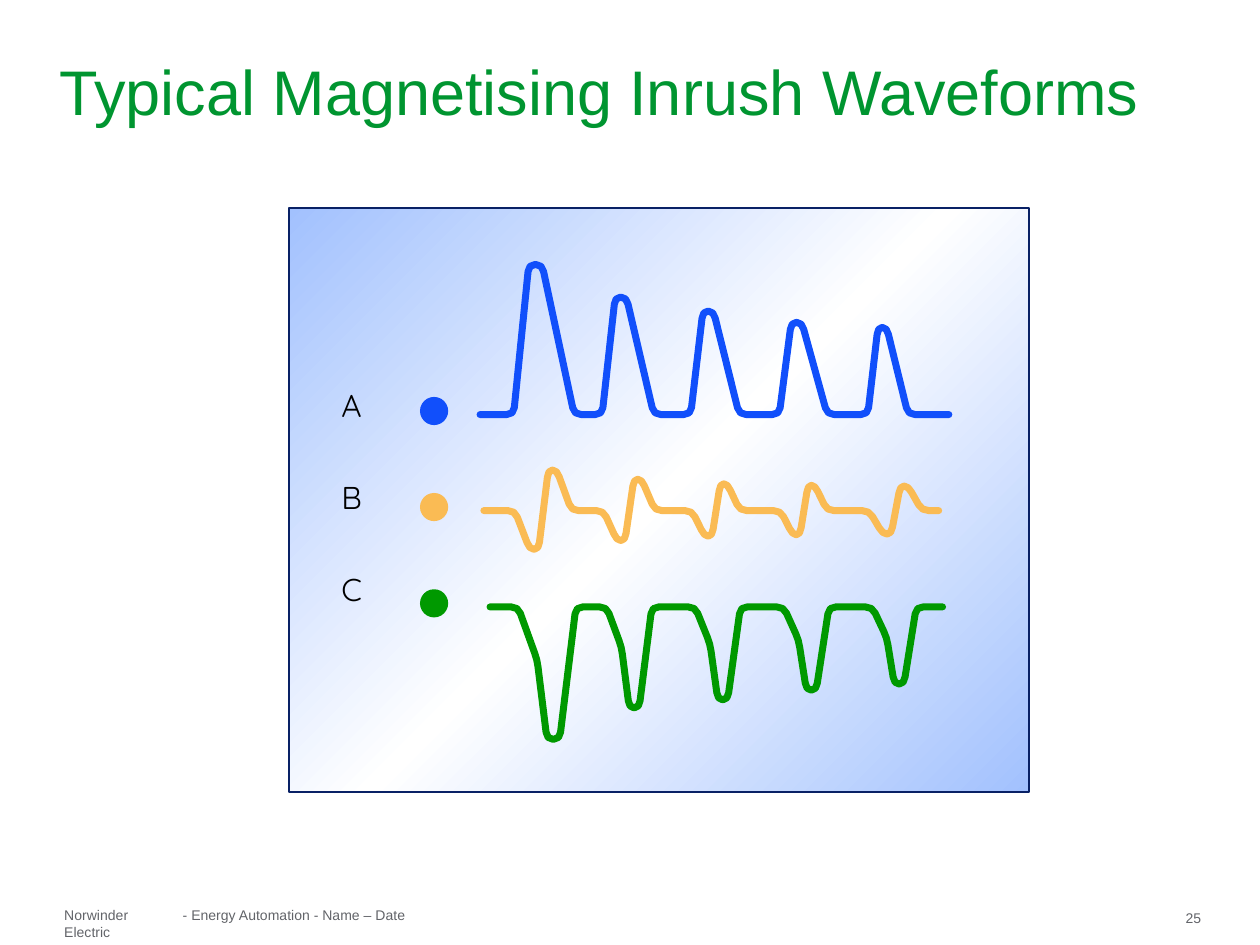
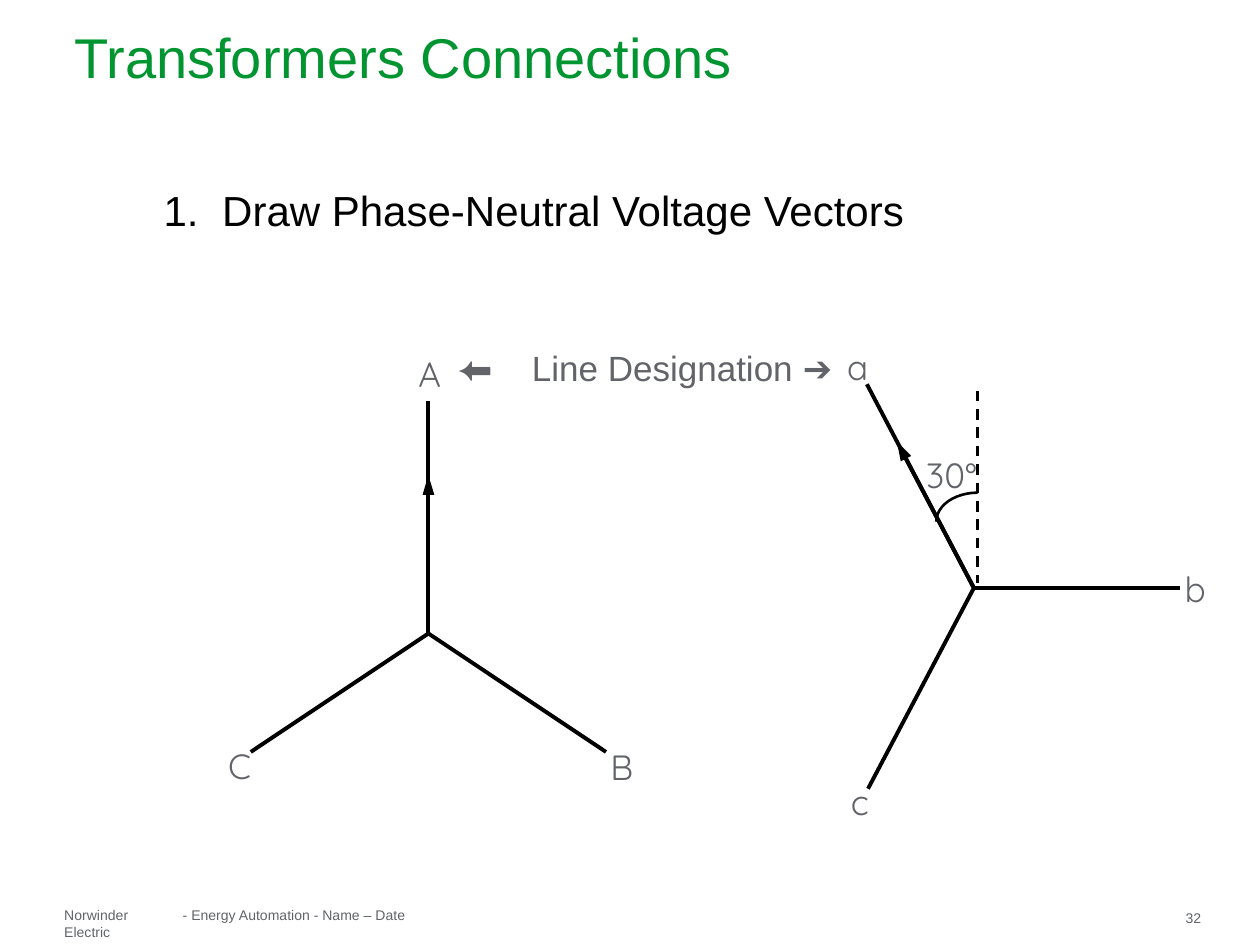
"""Two slides on transformer inrush waveforms and phase-neutral voltage vectors."""
from copy import deepcopy
from math import cos, dist, radians, sin

from pptx import Presentation
from pptx.dml.color import RGBColor
from pptx.enum.dml import MSO_LINE
from pptx.enum.shapes import MSO_CONNECTOR as CONN, MSO_SHAPE as SHAPE
from pptx.enum.text import MSO_ANCHOR as ANCHOR
from pptx.oxml.ns import qn
from pptx.oxml.xmlchemy import OxmlElement
from pptx.util import Pt

GREEN, GREY, BLACK = "009530", "626469", "000000"
BLUE, AMBER, LEAF = "114FFB", "FABB54", "009900"
NAVY, SKY, WHITE = "092165", "A2C1FE", "FFFFFF"
SANS, ROUND = "Arial", "Quicksand"
TIGHT, ROOMY = (0.72, 0.72), (7.2, 3.6)
rgb = RGBColor.from_string


def text(s, words, box, size, color=GREY, font=SANS, inset=(0, 0), anchor=ANCHOR.TOP, hang=0):
    tf = s.shapes.add_textbox(*map(Pt, box)).text_frame
    dx, dy = map(Pt, inset)
    frame = {"word_wrap": True, "vertical_anchor": anchor, "margin_left": dx,
             "margin_right": dx, "margin_top": dy, "margin_bottom": dy}
    for name, value in frame.items():
        setattr(tf, name, value)
    p = tf.paragraphs[0]
    if hang:
        pPr = p._p.get_or_add_pPr()
        pPr.set("marL", str(Pt(hang)))
        pPr.set("indent", str(-Pt(hang)))
    r = p.add_run()
    r.text = words
    for name, value in {"size": Pt(size), "name": font}.items():
        setattr(r.font, name, value)
    r.font.color.rgb = rgb(color)


def line(s, start, end, width=2.25, dash=None, arrow=False):
    cn = s.shapes.add_connector(CONN.STRAIGHT, *map(Pt, start + end))
    cn.line.color.rgb = rgb(BLACK)
    cn.line.width = Pt(width)
    if dash:
        cn.line.dash_style = dash
    if arrow:
        head = OxmlElement("a:headEnd")
        head.set("type", "triangle")
        head.set("len", "lg")
        cn.line._get_or_add_ln().append(head)
    cn._element.spPr.append(OxmlElement("a:effectLst"))


prs = Presentation()
prs.slide_width, prs.slide_height = Pt(720), Pt(540)

titles = [
    ("Typical Magnetising Inrush Waveforms", (33.8, 6.5, 652.3, 90.7), 36, "25"),
    ("Transformers Connections", (42.5, 13.7, 635.8, 36.7), 32, "32"),
]
slides = []
for title, box, size, number in titles:
    s = prs.slides.add_slide(prs.slide_layouts[6])
    text(s, "Norwinder Electric", (36.7, 518, 60, 20), 8)
    text(s, "- Energy Automation - Name – Date", (104.4, 518, 140, 10), 8)
    text(s, number, (677.5, 519.5, 23, 10), 8)
    text(s, title, box, size, GREEN, inset=(0, 0.72), anchor=ANCHOR.MIDDLE)
    slides.append(s)
inrush, vectors = slides

panel = inrush.shapes.add_shape(SHAPE.RECTANGLE, Pt(165.3), Pt(118.8), Pt(422.6), Pt(334))
panel.shadow.inherit = False
panel.line.color.rgb = rgb(NAVY)
panel.line.width = Pt(1)
panel.fill.gradient()
panel.fill.gradient_angle = 315
stops = next(panel._element.iter(qn("a:gsLst")))
stops.insert(1, deepcopy(stops[0]))
for stop, (position, color) in zip(panel.fill.gradient_stops, [(0, SKY), (0.5, WHITE), (1, SKY)]):
    stop.position = position
    stop.color.rgb = rgb(color)

PULSE_PITCH, CORNER_RADIUS, DOT = 50.6, 4, 15.1
LABEL_TOP, LABEL_PITCH = 217, 52.7

# Each profile lists (share of pulse width, share of pulse height, upward positive).
peak = [(0, 0), (0.25, 1), (0.47, 1), (1, 0)]
swing = [(0, 0), (0.26, -1), (0.42, -1), (0.59, 1.05), (0.74, 1.05), (1, 0)]
dip = [(0, 0), (0.33, -0.4), (0.5, -1), (0.72, -1), (1, 0)]
phases = [
    {"name": "A", "color": BLUE, "profile": peak, "baseline": 236.9,
     "ends": (274.3, 542.2), "first_pulse": 293.5,
     "widths": [34.6, 29.5, 27.7, 27.4, 23], "heights": [85.7, 67, 59, 52.6, 49.7]},
    {"name": "B", "color": AMBER, "profile": swing, "baseline": 291.8,
     "ends": (276.5, 536.4), "first_pulse": 294.2,
     "widths": [32.4, 29.5, 27.4, 26.6, 30.2], "heights": [22, 17, 14.5, 13.7, 13.3]},
    {"name": "C", "color": LEAF, "profile": dip, "baseline": 346.8,
     "ends": (280, 538.6), "first_pulse": 296,
     "widths": [33.1, 25.9, 25.9, 25.9, 25.2], "heights": [75.6, 57.6, 53, 47.5, 44]},
]
for row, phase in enumerate(phases):
    baseline, (left, right) = phase["baseline"], phase["ends"]

    corners = [(left, baseline)]
    for i, (width, height) in enumerate(zip(phase["widths"], phase["heights"])):
        start = phase["first_pulse"] + i * PULSE_PITCH
        corners += [(start + u * width, baseline - v * height) for u, v in phase["profile"]]
    corners.append((right, baseline))

    points = [corners[0]]
    for before, corner, after in zip(corners, corners[1:], corners[2:]):
        enter, leave = [
            tuple(c + (n - c) * min(0.45, CORNER_RADIUS / dist(corner, near))
                  for c, n in zip(corner, near))
            for near in (before, after)]
        middle = tuple((a + 2 * c + b) / 4 for a, c, b in zip(enter, corner, leave))
        points += [enter, middle, leave]
    points.append(corners[-1])

    outline = [(Pt(x), Pt(y)) for x, y in points]
    fb = inrush.shapes.build_freeform(*outline[0])
    fb.add_line_segments(outline[1:], close=False)
    curve = fb.convert_to_shape()
    curve.fill.background()
    dot = inrush.shapes.add_shape(SHAPE.OVAL, Pt(240.5), Pt(baseline - 9.6), Pt(DOT), Pt(DOT))
    dot.fill.solid()
    dot.fill.fore_color.rgb = rgb(phase["color"])
    for sp, width in ((dot, 1), (curve, 4)):
        sp.shadow.inherit = False
        sp.line.color.rgb = rgb(phase["color"])
        sp.line.width = Pt(width)
    ln = curve.line._get_or_add_ln()
    ln.set("cap", "rnd")
    ln.append(OxmlElement("a:round"))
    text(inrush, phase["name"], (188, LABEL_TOP + row * LABEL_PITCH, 34, 40), 18,
         BLACK, ROUND, inset=ROOMY)

text(vectors, "1.\tDraw Phase-Neutral Voltage Vectors", (86.4, 86.4, 468.7, 67), 24, BLACK,
     inset=ROOMY, anchor=ANCHOR.MIDDLE, hang=33.5)

stars = [
    {"neutral": (244.8, 362), "arrow_at": 0.68, "spokes": [
        ("A", 90, 133, (-6.5, -28)),
        ("B", -33.7, 122, (1.7, -4.2)),
        ("C", 213.7, 122, (-13.6, -5))]},
    {"neutral": (556.5, 336), "arrow_at": 0.72, "spokes": [
        ("a", 117.7, 131.5, (-12, -23)),
        ("b", 0, 118, (1.8, -12.4)),
        ("c", 242.2, 129.7, (-10.5, -5.5))]},
]
for star in stars:
    x0, y0 = star["neutral"]
    for i, (label, angle, length, (dx, dy)) in enumerate(star["spokes"]):
        across, up = length * cos(radians(angle)), length * sin(radians(angle))
        x, y = x0 + across, y0 - up
        line(vectors, (x, y), (x0, y0))
        text(vectors, label, (x + dx, y + dy, 23, 31.7), 20, GREY, ROUND, inset=TIGHT)
        if i == 0:
            k = star["arrow_at"]
            line(vectors, (x0 + k * across, y0 - k * up), (x0, y0), arrow=True)

line(vectors, (558.7, 223.2), (558.7, 333.4), 1.5, MSO_LINE.DASH)
arc = vectors.shapes.add_shape(SHAPE.ARC, Pt(535), Pt(281.5), Pt(47.4), Pt(33.2))
arc.adjustments[0], arc.adjustments[1] = 108, 162
arc.shadow.inherit = False
arc.fill.background()
arc.line.color.rgb = rgb(BLACK)
arc.line.width = Pt(1.5)
text(vectors, "30°", (528.5, 258.5, 46, 26), 20, GREY, ROUND, inset=TIGHT)
text(vectors, "⬅\tLine Designation ➔", (260.6, 197.3, 332.6, 31.7), 20, inset=TIGHT, hang=42.6)

prs.save("out.pptx")
